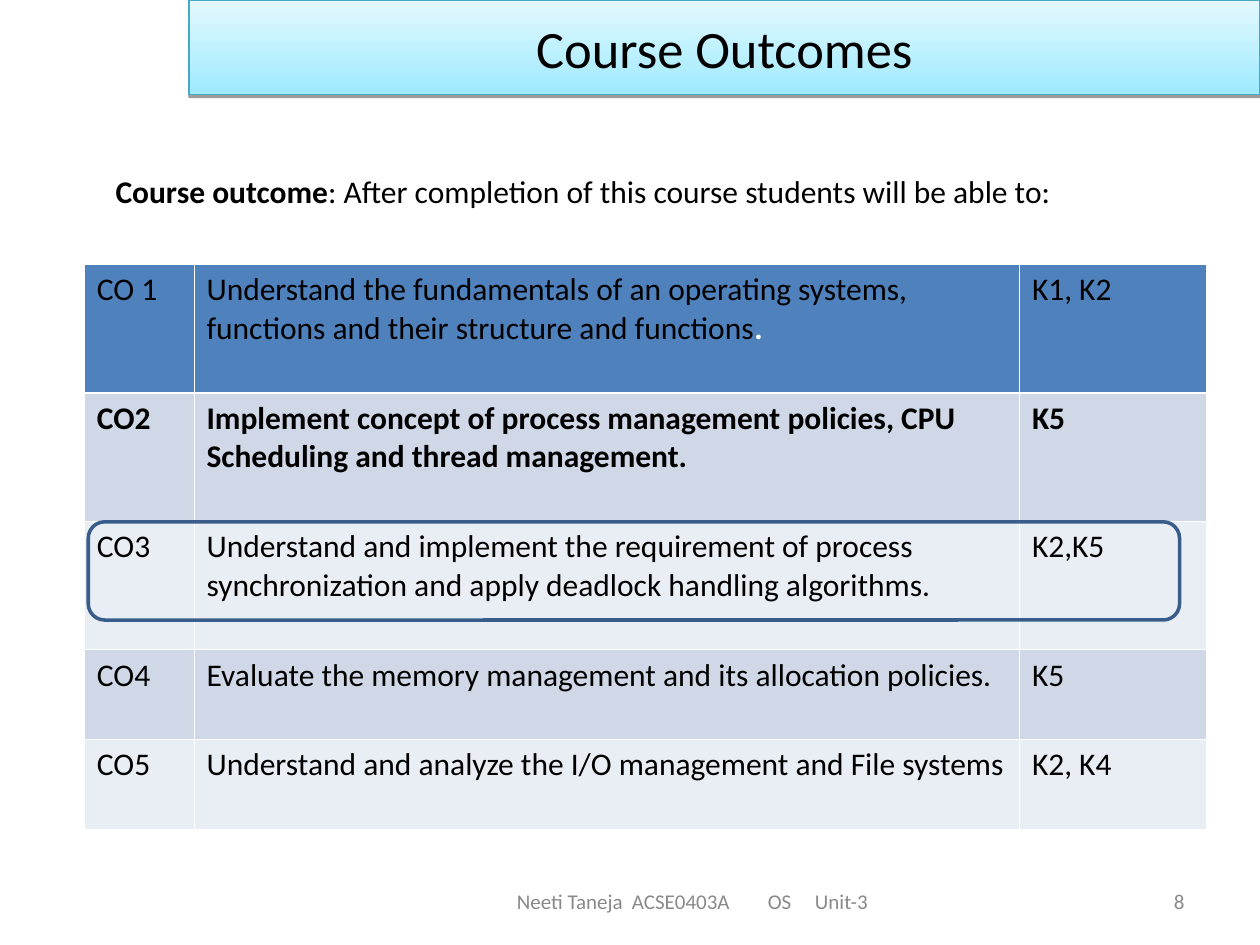
"""Build the course outcomes slide with its banner, table and footer."""
from lxml import etree
from pptx import Presentation
from pptx import util as u
from pptx.dml import color
from pptx.enum import shapes, text
from pptx.oxml import ns

COLORS = {
    "black": "000000", "white": "FFFFFF", "gray": "898989",
    "header": "4F81BD", "band_dark": "D0D8E8", "band_light": "E9EDF4",
    "banner_dark": "9EEAFF", "banner_light": "E4F9FF",
    "banner_line": "46AAC5", "highlight": "385D8A",
}
OUTCOMES = [
    ("CO 1", "Understand the fundamentals of an operating systems, "
             "functions and their structure and functions", "K1, K2"),
    ("CO2", "Implement concept of process management policies, "
            "CPU Scheduling and thread management.", "K5"),
    ("CO3", "Understand and implement the requirement of process "
            "synchronization and apply deadlock handling algorithms.", "K2,K5"),
    ("CO4", "Evaluate the memory management and its allocation policies.", "K5"),
    ("CO5", "Understand and analyze the I/O management and File systems", "K2, K4"),
]
COL_WIDTHS = (2.21, 16.64, 3.76)
ROW_HEIGHTS = (2.59, 2.59, 2.59, 1.81, 1.81)
BOLD_ROW = 1


def rgb(name):
    return color.RGBColor.from_string(COLORS[name])


def add_xml(parent, tag, **attrs):
    return etree.SubElement(parent, ns.qn(tag), {k: str(v) for k, v in attrs.items()})


def style_run(r, size, name="black", bold=False):
    r.font.name = "Calibri"
    r.font.size = u.Pt(size)
    r.font.bold = bold
    r.font.color.rgb = rgb(name)


def add_text(s, box, content, size, name="black", align=text.PP_ALIGN.LEFT,
             anchor=text.MSO_ANCHOR.MIDDLE):
    tf = s.shapes.add_textbox(*map(u.Cm, box)).text_frame
    tf.word_wrap = True
    tf.vertical_anchor = anchor
    tf.text = content
    p = tf.paragraphs[0]
    p.alignment = align
    style_run(p.runs[0], size, name)
    return tf


def add_banner(s, box):
    sp = s.shapes.add_shape(shapes.MSO_SHAPE.RECTANGLE, *map(u.Cm, box))
    sp.fill.gradient()
    sp.fill.gradient_angle = 90
    for stop, name in zip(sp.fill.gradient_stops, ("banner_dark", "banner_light")):
        stop.color.rgb = rgb(name)
    sp.line.color.rgb = rgb("banner_line")
    sp.line.width = u.Pt(0.75)
    sp.shadow.inherit = False
    effects = sp._element.spPr.find(ns.qn("a:effectLst"))
    shadow = add_xml(effects, "a:outerShdw", blurRad=0, dist=u.Pt(1.6),
                     dir=5400000, rotWithShape=0)
    add_xml(add_xml(shadow, "a:srgbClr", val=COLORS["black"]), "a:alpha", val=38000)
    sp.text_frame.text = "Course Outcomes"
    p = sp.text_frame.paragraphs[0]
    p.alignment = text.PP_ALIGN.CENTER
    style_run(p.runs[0], 30)


def add_intro(s, box):
    tf = add_text(s, box, "Course outcome", 18, anchor=text.MSO_ANCHOR.TOP)
    p = tf.paragraphs[0]
    p.runs[0].font.bold = True
    r = p.add_run()
    r.text = ": After completion of this course students will be able to:"
    style_run(r, 18)


def set_borders(cell, top, bottom):
    tc_pr = cell._tc.get_or_add_tcPr()
    for side, width in (("L", 0.45), ("R", 0.45), ("T", top), ("B", bottom)):
        ln = add_xml(tc_pr, f"a:ln{side}", w=u.Pt(width))
        add_xml(add_xml(ln, "a:solidFill"), "a:srgbClr", val=COLORS["white"])


def row_fill(i):
    if i == 0:
        return "header"
    return "band_dark" if i % 2 else "band_light"


def add_outcomes(s, left, top):
    size = (sum(COL_WIDTHS), sum(ROW_HEIGHTS))
    table = s.shapes.add_table(len(ROW_HEIGHTS), len(COL_WIDTHS),
                               *map(u.Cm, (left, top, *size))).table
    for col, width in zip(table.columns, COL_WIDTHS):
        col.width = u.Cm(width)
    for i, values in enumerate(OUTCOMES):
        table.rows[i].height = u.Cm(ROW_HEIGHTS[i])
        for j, value in enumerate(values):
            cell = table.cell(i, j)
            set_borders(cell, 1.47 if i == 1 else 0.45, 1.47 if i == 0 else 0.45)
            cell.fill.solid()
            cell.fill.fore_color.rgb = rgb(row_fill(i))
            cell.text_frame.text = value
            style_run(cell.text_frame.paragraphs[0].runs[0], 18, bold=i == BOLD_ROW)
    r = table.cell(0, 1).text_frame.paragraphs[0].add_run()
    r.text = "."
    style_run(r, 18, "white", True)


def add_highlight(s, box):
    sp = s.shapes.add_shape(shapes.MSO_SHAPE.ROUNDED_RECTANGLE, *map(u.Cm, box))
    sp.fill.background()
    sp.line.color.rgb = rgb("highlight")
    sp.line.width = u.Pt(2)
    sp.shadow.inherit = False


def add_footer(s, left, top, width, height):
    tf = add_text(s, (left, top, 13.97, height),
                  "Neeti Taneja\tACSE0403A\tOS\tUnit-3", 12, "gray")
    tf.margin_left = u.Cm(3.43)
    tabs = add_xml(tf.paragraphs[0]._p.get_or_add_pPr(), "a:tabLst")
    for pos in (2.32, 5.06, 6.01):
        add_xml(tabs, "a:tab", pos=u.Cm(pos), algn="l")
    number_width = 5.92
    add_text(s, (left + width - number_width, top, number_width, height),
             "8", 12, "gray", text.PP_ALIGN.RIGHT)


def main():
    prs = Presentation()
    prs.slide_width, prs.slide_height = u.Cm(25.4), u.Cm(19.05)
    s = prs.slides.add_slide(prs.slide_layouts[6])
    add_footer(s, 6.99, 17.65, 17.14, 1.02)
    add_banner(s, (3.81, 0, 21.59, 1.91))
    add_outcomes(s, 1.7, 5.33)
    add_intro(s, (2.08, 3.35, 22.23, 1.02))
    add_highlight(s, (1.78, 10.52, 22, 1.98))
    prs.save("out.pptx")


if __name__ == "__main__":
    main()
